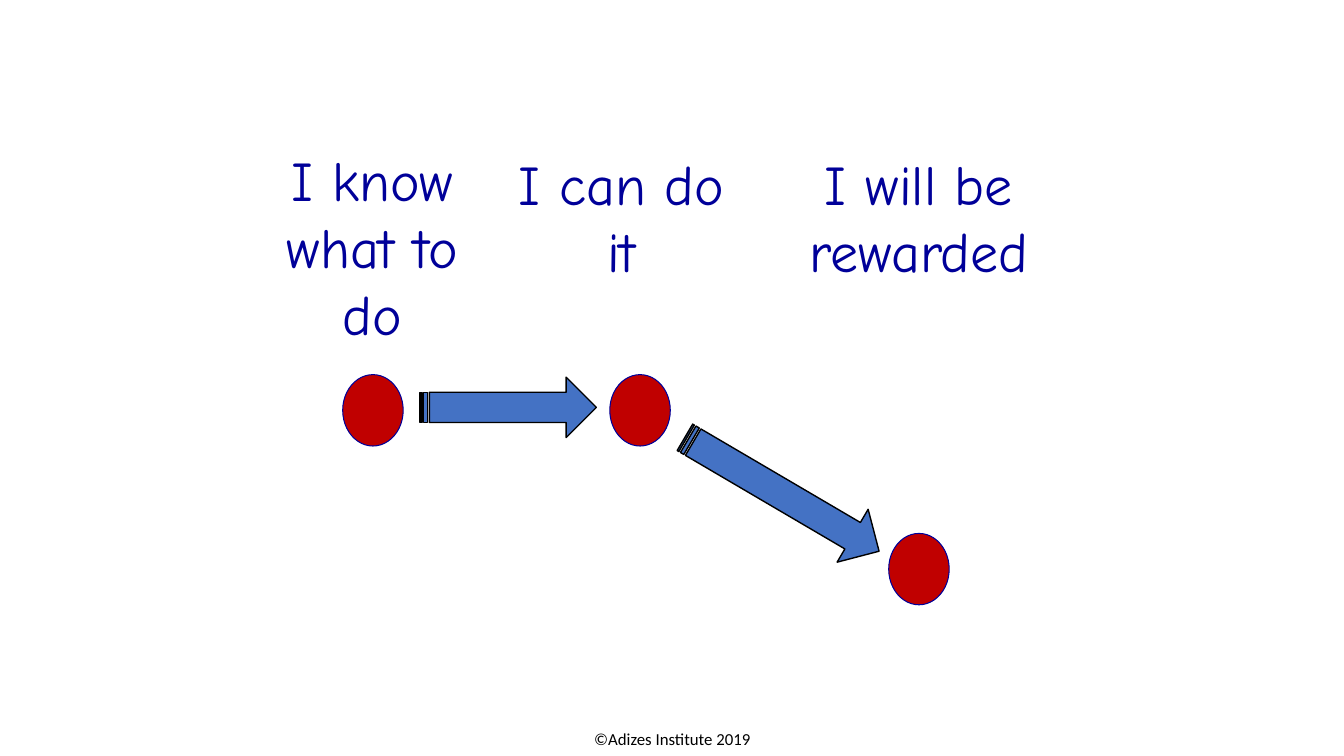
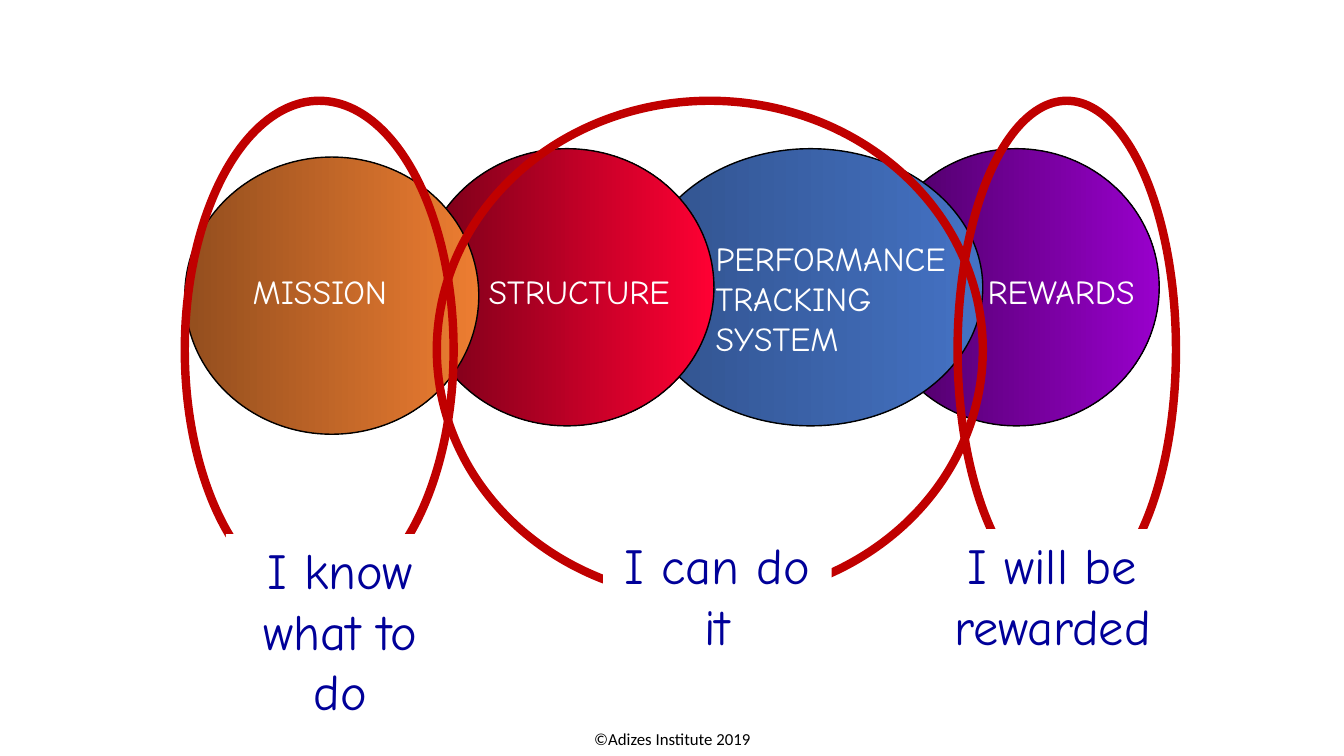
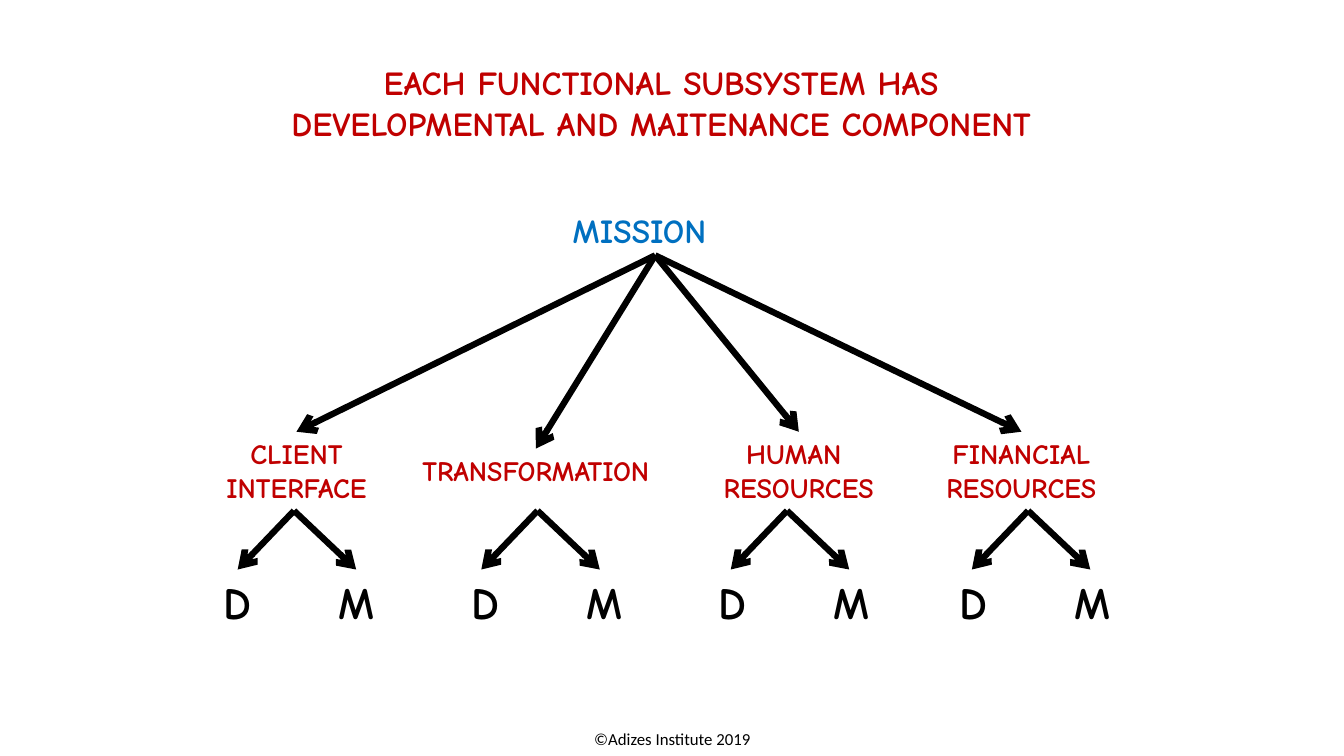
from lxml import etree
from pptx import Presentation
from pptx import util as u
from pptx.dml import color
from pptx.enum import shapes, text
from pptx.oxml import ns

NAVY, RED, BLUE, SKY = "000099", "C00000", "4472C4", "0070C0"
BLACK, WHITE = "000000", "FFFFFF"
OVAL = shapes.MSO_SHAPE.OVAL
STRIPED_ARROW = shapes.MSO_SHAPE.STRIPED_RIGHT_ARROW
LEFT, CENTER = text.PP_ALIGN.LEFT, text.PP_ALIGN.CENTER


def rgb(value):
    return color.RGBColor.from_string(value)


class Board:
    """Shared style and current slide, on a grid of 160 columns by 90 rows."""
    COLUMNS, ROWS = 160, 90
    TITLE_ONLY, BLANK = 5, 6
    FONT, FOOTER_FONT = "Comic Neue", "Calibri"
    FOOTER = "©Adizes Institute 2019"

    def __init__(self):
        self.deck = Presentation()
        self.deck.slide_width = u.Inches(13.33)
        self.deck.slide_height = u.Inches(7.5)
        self.slide = None

    def x(self, columns):
        return round(self.deck.slide_width * columns / self.COLUMNS)

    def y(self, rows):
        return round(self.deck.slide_height * rows / self.ROWS)

    def area(self, left, top, width, height):
        return self.x(left), self.y(top), self.x(width), self.y(height)

    def new_slide(self, layout=BLANK):
        self.slide = self.deck.slides.add_slide(self.deck.slide_layouts[layout])
        footer = self.label(self.FOOTER, (53.4, 86.2, 53.3, 3.6), 12, BLACK,
                            font=self.FOOTER_FONT)
        footer.text_frame.margin_top = u.Inches(0.06)
        footer.text_frame.paragraphs[0].line_spacing = 0.93

    def set_words(self, box, words, size, ink, align=CENTER, bold=False, font=FONT):
        frame = box.text_frame
        frame.word_wrap = True
        frame.auto_size = text.MSO_AUTO_SIZE.NONE
        frame.vertical_anchor = text.MSO_ANCHOR.TOP
        for number, line in enumerate(words.split("\n")):
            para = frame.add_paragraph() if number else frame.paragraphs[0]
            para.alignment = align
            span = para.add_run()
            span.text = line
            span.font.name = font
            span.font.size = u.Pt(size)
            span.font.bold = bold
            span.font.color.rgb = rgb(ink)

    def label(self, words, place, size, ink, fill=None, **style):
        box = self.slide.shapes.add_textbox(*self.area(*place))
        if fill:
            box.fill.solid()
            box.fill.fore_color.rgb = rgb(fill)
        self.set_words(box, words, size, ink, **style)
        return box

    def title(self, words, place, size, ink):
        box = self.slide.shapes.title
        box.left, box.top, box.width, box.height = self.area(*place)
        self.set_words(box, words, size, ink, bold=True)

    def figure(self, kind, place, fill=None, line=BLACK, weight=1, turn=0):
        """Fill is None, one colour, or a pair for a left-to-right gradient."""
        shape = self.slide.shapes.add_shape(kind, *self.area(*place))
        shape.shadow.inherit = False
        shape.rotation = turn
        shape.line.color.rgb = rgb(line)
        shape.line.width = u.Pt(weight)
        if fill is None:
            shape.fill.background()
        elif isinstance(fill, str):
            shape.fill.solid()
            shape.fill.fore_color.rgb = rgb(fill)
        else:
            shape.fill.gradient()
            shape.fill.gradient_angle = 0
            for stop, shade in zip(shape.fill.gradient_stops, fill):
                stop.color.rgb = rgb(shade)

    def arrow(self, start, end):
        line = self.slide.shapes.add_connector(
            shapes.MSO_CONNECTOR.STRAIGHT,
            self.x(start[0]), self.y(start[1]), self.x(end[0]), self.y(end[1]))
        line.line.color.rgb = rgb(BLACK)
        line.line.width = u.Pt(4.5)
        properties = line._element.spPr
        outline = properties.find(ns.qn("a:ln"))
        etree.SubElement(outline, ns.qn("a:tailEnd"), type="arrow")
        etree.SubElement(properties, ns.qn("a:effectLst"))


def steps_slide(board):
    board.new_slide()
    # Statements
    for words, left, top, width, height in (
            ("I know what to do", 30.7, 16.7, 27.2, 25.4),
            ("I can do it", 60.4, 17.2, 27.2, 17.4),
            ("I will be rewarded", 92.8, 17.2, 33.2, 17.4)):
        board.label(words, (left, top, width, height), 40, NAVY)
    # Dots and the arrows between them
    for left, top in ((40.8, 44.6), (72.6, 44.6), (105.8, 63.5)):
        board.figure(OVAL, (left, top, 7.2, 8.5), RED, NAVY, 0.75)
    board.figure(STRIPED_ARROW, (50, 44.9, 21, 7.2), BLUE)
    board.figure(STRIPED_ARROW, (79.7, 55.2, 26.8, 7.3), BLUE, turn=30.4)


def rings_slide(board):
    board.new_slide()
    # Overlapping discs, back to front
    for left, top, width, shades in (
            (104, 17.7, 34, ("47005E", "9900CC")),
            (76, 17.7, 41, ("31528C", BLUE)),
            (50, 17.7, 35, ("760018", "FF0033")),
            (22, 18.7, 35, ("934E1E", "ED7D31"))):
        board.figure(OVAL, (left, top, width, 33), shades)
    # Disc names
    for words, left, top, width, height in (
            ("MISSION", 28.9, 31.7, 22.9, 6.1),
            ("STRUCTURE", 57, 31.7, 30, 6.1),
            ("PERFORMANCE TRACKING SYSTEM", 84, 27.7, 33, 15.7),
            ("REWARDS", 116.4, 31.7, 23.6, 6.1)):
        board.label(words, (left, top, width, height), 24, WHITE, align=LEFT)
    # Rings, each opened by its statement
    for words, ring_left, ring_width, place in (
            ("I know what to do", 22, 32, (26.9, 63.6, 27.2, 23)),
            ("I can do it", 52, 65, (71.8, 63, 27.2, 15.7)),
            ("I will be rewarded", 114, 26, (108.7, 63, 33.2, 15.7))):
        board.figure(OVAL, (ring_left, 12, ring_width, 59.3), line=RED, weight=6)
        board.label(words, place, 36, NAVY, fill=WHITE)


def subsystems_slide(board):
    board.new_slide(Board.TITLE_ONLY)
    board.title("EACH FUNCTIONAL SUBSYSTEM HAS DEVELOPMENTAL AND MAITENANCE COMPONENT",
                (33.2, 6.8, 91, 15.7), 24, RED)
    board.label("MISSION", (67, 24.4, 22.4, 6), 24, SKY, align=LEFT, bold=True)
    # Branches: name, its centre and top, fork column, centre of the letter D
    root, fork_top, fork_end = (78, 30.4), 60.8, 67.8
    name_width, letter_width, letter_gap = 36, 7.2, 14.2
    for name, center, top, fork, letter in (
            ("CLIENT\nINTERFACE", 35.3, 51.4, 35, 28.3),
            ("TRANSFORMATION", 63.8, 53.4, 64, 57.8),
            ("HUMAN \nRESOURCES", 95.1, 51.4, 93.7, 87.2),
            ("FINANCIAL\nRESOURCES", 121.6, 51.4, 122.4, 115.9)):
        board.label(name, (center - name_width / 2, top, name_width, 9.2),
                    20, RED, bold=True)
        board.arrow(root, (center, top))
        for number, (initial, reach) in enumerate((("D", -6.7), ("M", 7.4))):
            board.arrow((fork, fork_top), (fork + reach, fork_end))
            left = letter + number * letter_gap - letter_width / 2
            board.label(initial, (left, fork_end, letter_width, 7.7),
                        32, BLACK, bold=True)


def main():
    board = Board()
    steps_slide(board)
    rings_slide(board)
    subsystems_slide(board)
    board.deck.save("out.pptx")


if __name__ == "__main__":
    main()
